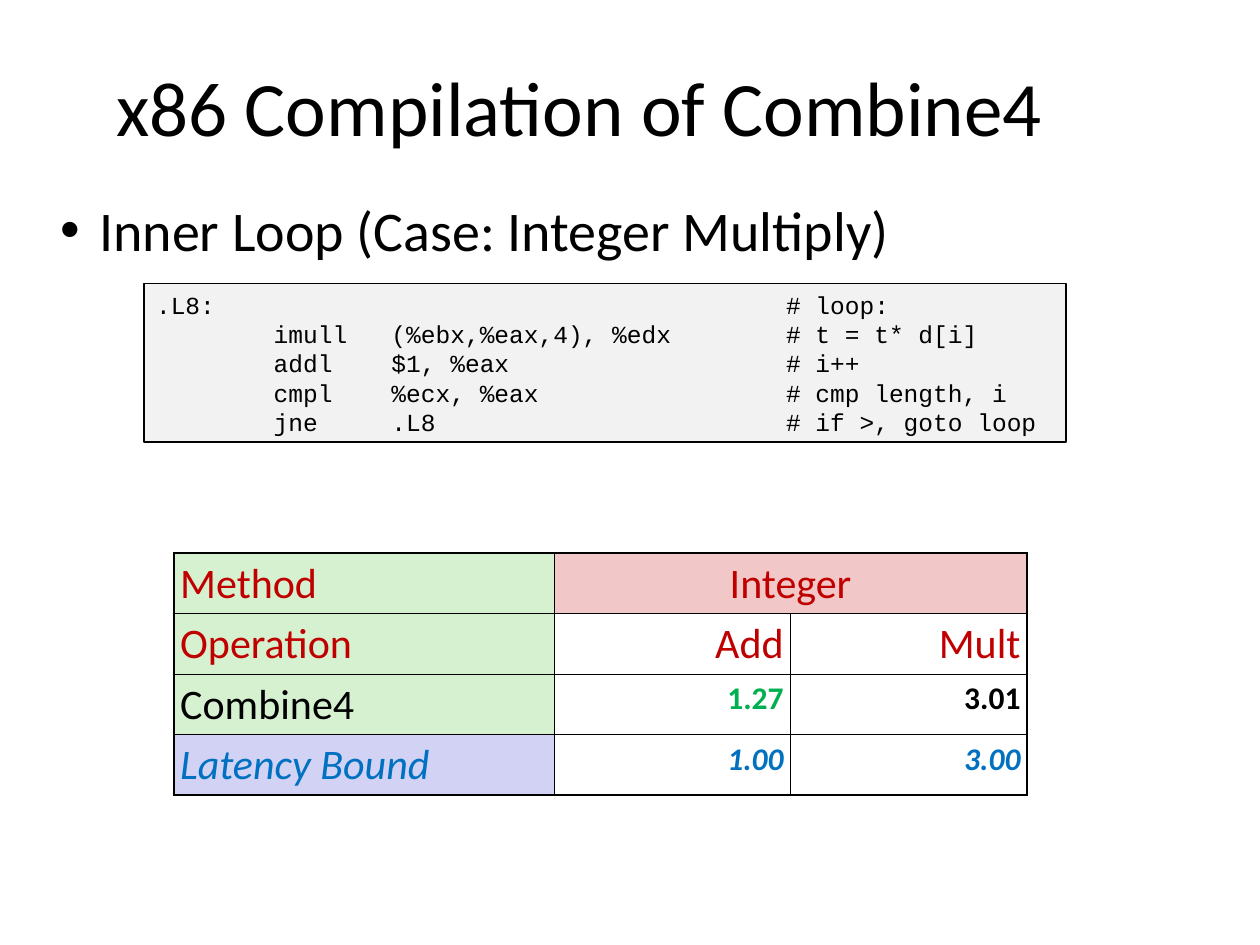
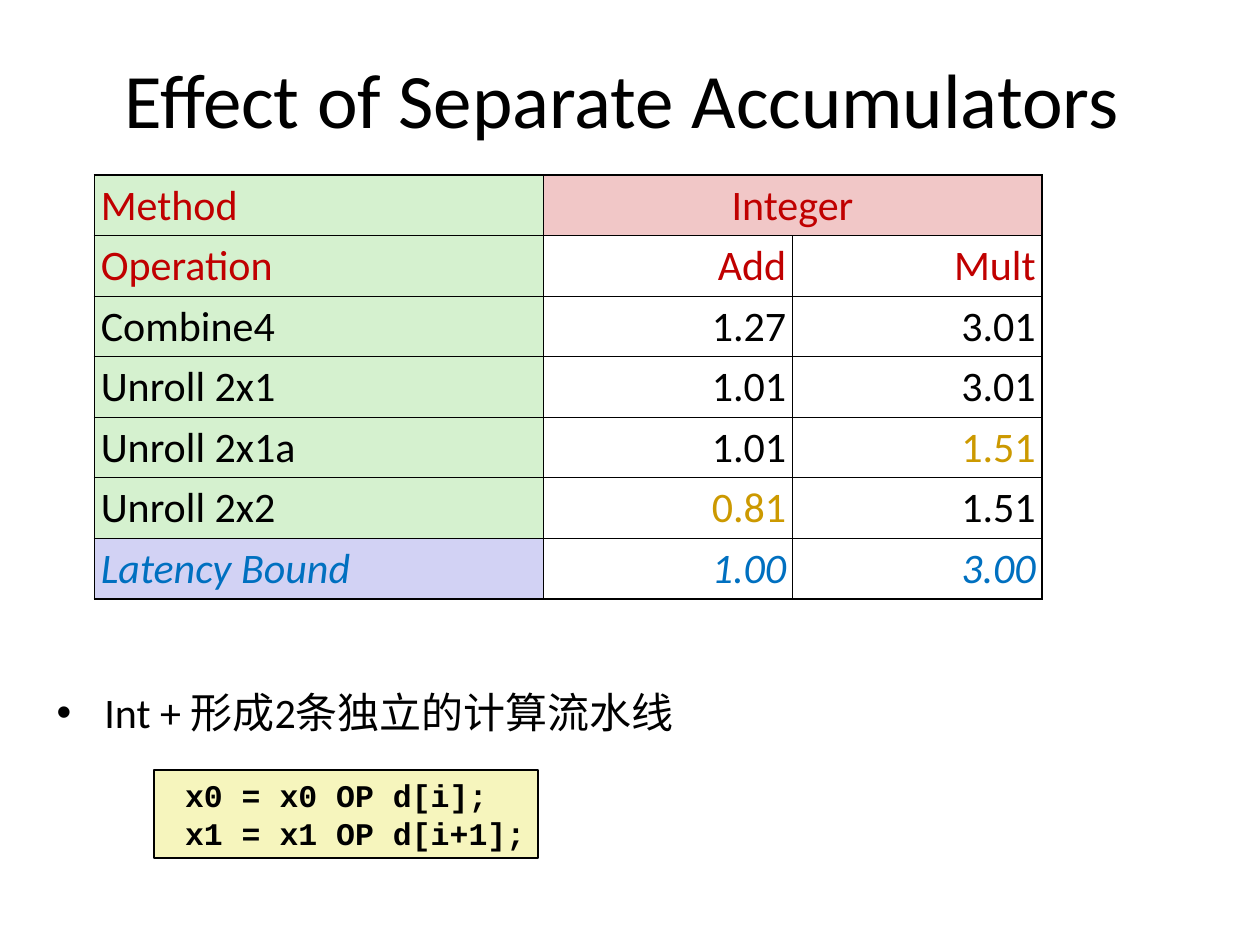
from lxml import etree
from pptx import Presentation, util as u
from pptx.dml.color import RGBColor
from pptx.enum import shapes, text
from pptx.oxml.ns import qn

GRID = u.Inches(0.1)
BLACK, RED, GREEN, BLUE, GOLD = "000000", "C00000", "00B050", "0070C0", "CC9900"
METHOD_FILL, TYPE_FILL, BOUND_FILL = "D5F1CF", "F1C7C7", "D2D2F4"
SANS, MONO = "Calibri", "Courier New"
LEFT, CENTER, RIGHT = text.PP_ALIGN.LEFT, text.PP_ALIGN.CENTER, text.PP_ALIGN.RIGHT
ROW = 4.8
BOUND = "Latency Bound"
HEAD = [("Method", "Integer", ""), ("Operation", "Add", "Mult")]

LOOP_CODE = [
    ".L8:\t# loop:",
    "        imull   (%ebx,%eax,4), %edx\t# t = t* d[i]",
    "        addl    $1, %eax\t# i++",
    "        cmpl    %ecx, %eax\t# cmp length, i",
    "        jne     .L8\t# if >, goto loop",
]
PAIR_CODE = [" x0 = x0 OP d[i];", " x1 = x1 OP d[i+1];"]


def color(value):
    """Turn a hex string into a colour."""
    return RGBColor.from_string(value)


def grid(*box):
    """Convert grid columns and rows to lengths."""
    return [u.Emu(round(n * GRID)) for n in box]


def add_node(parent, tag, **attrs):
    """Append a drawing element with its attributes."""
    return etree.SubElement(parent, qn(tag), {k: str(v) for k, v in attrs.items()})


def put(tf, lines, size=24, font=SANS, fill=BLACK, bold=False, italic=False,
        align=LEFT, spacing=None, bullet=0, tab=0):
    """Write lines of text with one format; bullet and tab are in grid columns."""
    for i, line in enumerate(lines):
        p = tf.add_paragraph() if i else tf.paragraphs[0]
        p.alignment = align
        if spacing:
            p.line_spacing = spacing
        pr = p._p.get_or_add_pPr()
        if bullet:
            indent = round(bullet * GRID)
            pr.set("marL", str(indent))
            pr.set("indent", str(-indent))
            add_node(add_node(pr, "a:buClr"), "a:srgbClr", val=BLACK)
            add_node(pr, "a:buFont", typeface="Arial")
            add_node(pr, "a:buChar", char="•")
        if tab:
            add_node(add_node(pr, "a:tabLst"), "a:tab", pos=tab * GRID, algn="l")
        r = p.add_run()
        r.text = line
        r.font.size, r.font.name = u.Pt(size), font
        r.font.bold, r.font.italic = bold, italic
        r.font.color.rgb = color(fill)


def title_slide(prs, title, box):
    """Add a slide with its title in the given box."""
    s = prs.slides.add_slide(prs.slide_layouts[5])
    sp = s.shapes.title
    sp.left, sp.top, sp.width, sp.height = grid(*box)
    sp.text_frame.vertical_anchor = text.MSO_ANCHOR.MIDDLE
    put(sp.text_frame, [title], size=44, align=CENTER)
    return s


def bullet_text(s, line, box, **fmt):
    """Add one bulleted line."""
    tf = s.shapes.add_textbox(*grid(*box)).text_frame
    tf.word_wrap = True
    put(tf, [line], **fmt)


def code_box(s, lines, box, fill, wrap=True, **fmt):
    """Add a framed code listing."""
    sp = s.shapes.add_shape(shapes.MSO_SHAPE.RECTANGLE, *grid(*box))
    sp.shadow.inherit = False
    sp.fill.solid()
    sp.fill.fore_color.rgb = color(fill)
    sp.line.color.rgb = color(BLACK)
    sp.line.width = u.Pt(1)
    tf = sp.text_frame
    tf.word_wrap = wrap
    tf.auto_size = text.MSO_AUTO_SIZE.SHAPE_TO_FIT_TEXT
    tf.vertical_anchor = text.MSO_ANCHOR.TOP
    put(tf, lines, font=MONO, **fmt)


def cell_borders(cell, outer):
    """Draw thick lines on outer sides and thin lines on the others."""
    pr = cell._tc.get_or_add_tcPr()
    for side in "LRTB":
        width = u.Pt(1.08 if side in outer else 0.45)
        ln = add_node(pr, f"a:ln{side}", w=width)
        add_node(add_node(ln, "a:solidFill"), "a:srgbClr", val=BLACK)


def cell_fill(row, col, label):
    """Pick the fill of a cell, or None."""
    if col == 0:
        return BOUND_FILL if label == BOUND else METHOD_FILL
    return TYPE_FILL if row == 0 else None


def result_table(s, body, left, top, cols, marks, **value_fmt):
    """Add a table of cycles per element; marks gives colours of single cells."""
    rows = HEAD + body
    last_row, last_col = len(rows) - 1, len(cols) - 1
    box = grid(left, top, sum(cols), ROW * len(rows))
    table = s.shapes.add_table(len(rows), len(cols), *box).table
    table.first_row = table.horz_banding = False
    for column, width in zip(table.columns, grid(*cols)):
        column.width = width
    for i, row in enumerate(rows):
        table.rows[i].height = grid(ROW)[0]
        for j, value in enumerate(row):
            cell = table.cell(i, j)
            cell.margin_left = cell.margin_right = u.Inches(0.05)
            cell.margin_top = cell.margin_bottom = u.Inches(0.05)
            edges = {"L": j == 0, "R": j == last_col or (i == 0 and j > 0),
                     "T": i == 0, "B": i == last_row}
            cell_borders(cell, [side for side, outer in edges.items() if outer])
            fill = cell_fill(i, j, row[0])
            if fill:
                cell.fill.solid()
                cell.fill.fore_color.rgb = color(fill)
            else:
                cell.fill.background()
            if not value:
                continue
            bound = row[0] == BOUND
            base = RED if i < len(HEAD) else BLUE if bound else BLACK
            align = LEFT if j == 0 else CENTER if i == 0 else RIGHT
            fmt = value_fmt if j and i >= len(HEAD) else {}
            put(cell.text_frame, [value], fill=marks.get((row[0], j), base),
                italic=bound, align=align, spacing=0.95, **fmt)
    table.cell(0, 1).merge(table.cell(0, last_col))


def compilation_slide(prs):
    """Build the slide on the compiled inner loop."""
    s = title_slide(prs, "x86 Compilation of Combine4", (4.5, 4.2, 83, 8.3))
    bullet_text(s, "Inner Loop (Case: Integer Multiply)", (3.8, 15, 90.3, 7.5),
                size=32, bullet=3.1)
    code_box(s, LOOP_CODE, (11.4, 22.5, 73.2, 12.6), "F2F2F2", size=14, tab=50)
    body = [("Combine4", "1.27", "3.01"), (BOUND, "1.00", "3.00")]
    result_table(s, body, 13.8, 43.9, (30.2, 18.7, 18.8),
                 {("Combine4", 1): GREEN}, size=18, bold=True)


def accumulators_slide(prs):
    """Build the slide on separate accumulators."""
    s = title_slide(prs, "Effect of Separate Accumulators", (4.3, 3.6, 90.2, 8.3))
    bullet_text(s, "Int + 形成2条独立的计算流水线", (3.5, 54, 90.9, 14.4), bullet=3.8)
    code_box(s, PAIR_CODE, (12.2, 61.1, 30.5, 7), "F6F5BD", wrap=False,
             size=18, bold=True)
    body = [
        ("Combine4", "1.27", "3.01"),
        ("Unroll 2x1", "1.01", "3.01"),
        ("Unroll 2x1a", "1.01", "1.51"),
        ("Unroll 2x2", "0.81", "1.51"),
        (BOUND, "1.00", "3.00"),
    ]
    result_table(s, body, 7.5, 13.9, (35.6, 19.8, 19.8),
                 {("Unroll 2x1a", 2): GOLD, ("Unroll 2x2", 1): GOLD})


def main():
    """Build and save both slides."""
    prs = Presentation()
    prs.slide_width, prs.slide_height = grid(100, 75)
    compilation_slide(prs)
    accumulators_slide(prs)
    prs.save("out.pptx")


if __name__ == "__main__":
    main()
